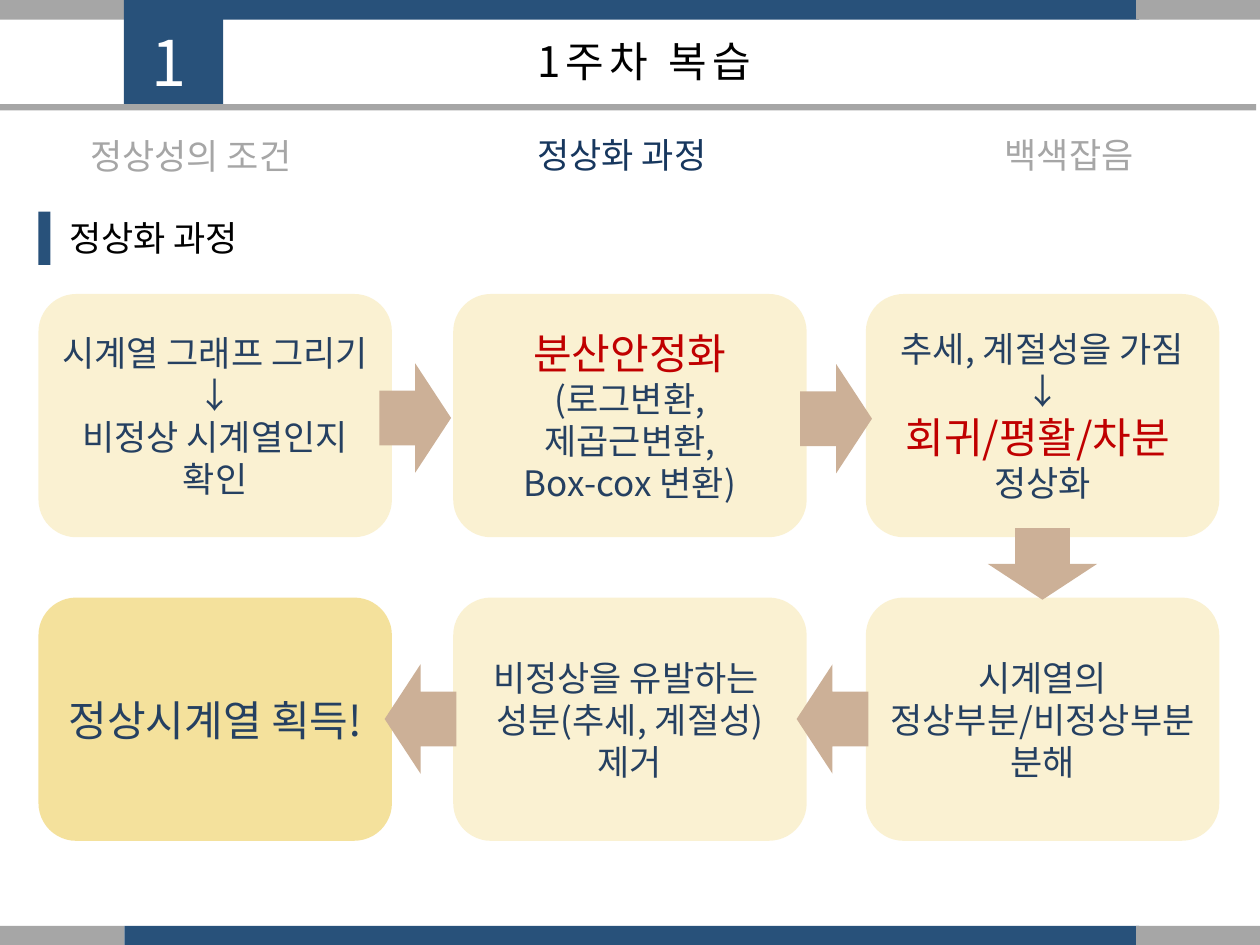
from typing import NamedTuple

from lxml import etree
from pptx import Presentation
from pptx.dml.color import RGBColor
from pptx.enum.shapes import MSO_SHAPE
from pptx.enum.text import MSO_ANCHOR, PP_ALIGN
from pptx.oxml.ns import qn
from pptx.util import Pt

RECT, ROUND = MSO_SHAPE.RECTANGLE, MSO_SHAPE.ROUNDED_RECTANGLE
ARROW = MSO_SHAPE.RIGHT_ARROW
LEFT, MID = PP_ALIGN.LEFT, PP_ALIGN.CENTER
FONT = "Noto Sans CJK KR"
BLUE, GREY, GOLD, TAN = "28517A", "A6A6A6", "F0D36C", "CCB097"
NAVY, RED, BLACK, WHITE = "254061", "C00000", "000000", "FFFFFF"


class Line(NamedTuple):
    text: str
    size: float = 20
    tint: str = NAVY


class Step(NamedTuple):
    col: int
    row: int
    lines: list[Line]
    alpha: int = 30


class Move(NamedTuple):
    x: float
    y: float
    turn: int = 0


class Label(NamedTuple):
    x: float
    y: float
    w: float
    h: float
    line: Line
    align: PP_ALIGN = MID
    gap: int = 0


def rgb(code: str) -> RGBColor:
    return RGBColor.from_string(code)


def draw(slide, kind, x: float, y: float, w: float, h: float, tint: str):
    shape = slide.shapes.add_shape(kind, Pt(x), Pt(y), Pt(w), Pt(h))
    shape.shadow.inherit = False
    shape.fill.solid()
    shape.fill.fore_color.rgb = rgb(tint)
    shape.line.fill.background()
    return shape


def write(frame, lines: list[Line], align=MID, gap: int = 0) -> None:
    frame.word_wrap = True
    frame.text = "\n".join(line.text for line in lines)
    for para, line in zip(frame.paragraphs, lines):
        para.alignment = align
        font = para.runs[0].font
        font.size, font.name = Pt(line.size), FONT
        font.color.rgb = rgb(line.tint)
        props = para.runs[0]._r.get_or_add_rPr()
        etree.SubElement(props, qn("a:ea"), typeface=FONT)
        if gap:
            props.set("spc", str(gap * 100))


def add_label(slide, label: Label) -> None:
    box = slide.shapes.add_textbox(
        Pt(label.x), Pt(label.y), Pt(label.w), Pt(label.h))
    write(box.text_frame, [label.line], label.align, label.gap)


def add_step(slide, step: Step) -> None:
    box = draw(slide, ROUND, COLS[step.col], ROWS[step.row], 202, 139, GOLD)
    box.adjustments[0] = 0.155
    color = box.fill._xPr.find(qn("a:solidFill"))[0]
    etree.SubElement(color, qn("a:alpha"), val=str(step.alpha * 1000))
    box.text_frame.vertical_anchor = MSO_ANCHOR.MIDDLE
    write(box.text_frame, step.lines)


def add_move(slide, move: Move) -> None:
    draw(slide, ARROW, move.x, move.y, 41, 62.5, TAN).rotation = move.turn


COLS = [22, 259, 494.8]
ROWS = [168, 341.5]

STEPS = [
    Step(0, 0, [Line("시계열 그래프 그리기"), Line("↓"),
                Line("비정상 시계열인지 확인")]),
    Step(1, 0, [Line("분산안정화", 24, RED), Line("(로그변환,제곱근변환,"),
                Line("Box-cox 변환)")]),
    Step(2, 0, [Line("추세, 계절성을 가짐"), Line("↓"),
                Line("회귀/평활/차분 ", 24, RED), Line("정상화")]),
    Step(0, 1, [Line("정상시계열 획득!", 24)], 67),
    Step(1, 1, [Line("비정상을 유발하는 "), Line("성분(추세, 계절성)"),
                Line("제거")]),
    Step(2, 1, [Line("시계열의"), Line("정상부분/비정상부분"), Line("분해")]),
]

MOVES = [
    Move(216.8, 207.6), Move(457.3, 208), Move(575.2, 291, 90),
    Move(455.2, 379.6, 180), Move(219.8, 379.6, 180),
]

LABELS = [
    Label(218, 16.5, 300, 36, Line("1주차 복습", 24, BLACK), gap=3),
    Label(65.5, 10, 62.5, 51, Line("1", 36, WHITE), gap=3),
    Label(32.4, 120.2, 111, 31.5, Line("정상화 과정", 20, BLACK), LEFT),
    Label(38, 73.5, 142, 31.5, Line("정상성의 조건", 20, GREY)),
    Label(284.4, 72.5, 142, 31.5, Line("정상화 과정", 20, "17375E")),
    Label(540, 72.7, 142, 31.5, Line("백색잡음", 20, GREY)),
]


def main() -> None:
    deck = Presentation()
    deck.slide_width, deck.slide_height = Pt(720), Pt(540)
    slide = deck.slides.add_slide(deck.slide_layouts[6])

    # Bands along the top and bottom edges
    for y in (0, 529):
        draw(slide, RECT, 71, y, 580, 11.3, BLUE)
        draw(slide, RECT, 0, y, 71, 11.3, GREY)
        draw(slide, RECT, 649.2, y, 70.8, 11.3, GREY)

    # Number block, title rule and heading bar
    draw(slide, RECT, 70.8, 0, 56.7, 60, BLUE)
    draw(slide, RECT, -3.6, 59.5, 721.4, 3.6, GREY)
    draw(slide, RECT, 22, 121, 6.8, 30.4, BLUE)

    # Flow of steps, then the arrows over them
    for step in STEPS:
        add_step(slide, step)
    for move in MOVES:
        add_move(slide, move)

    # Titles and tabs
    for label in LABELS:
        add_label(slide, label)

    deck.save("out.pptx")


if __name__ == "__main__":
    main()
